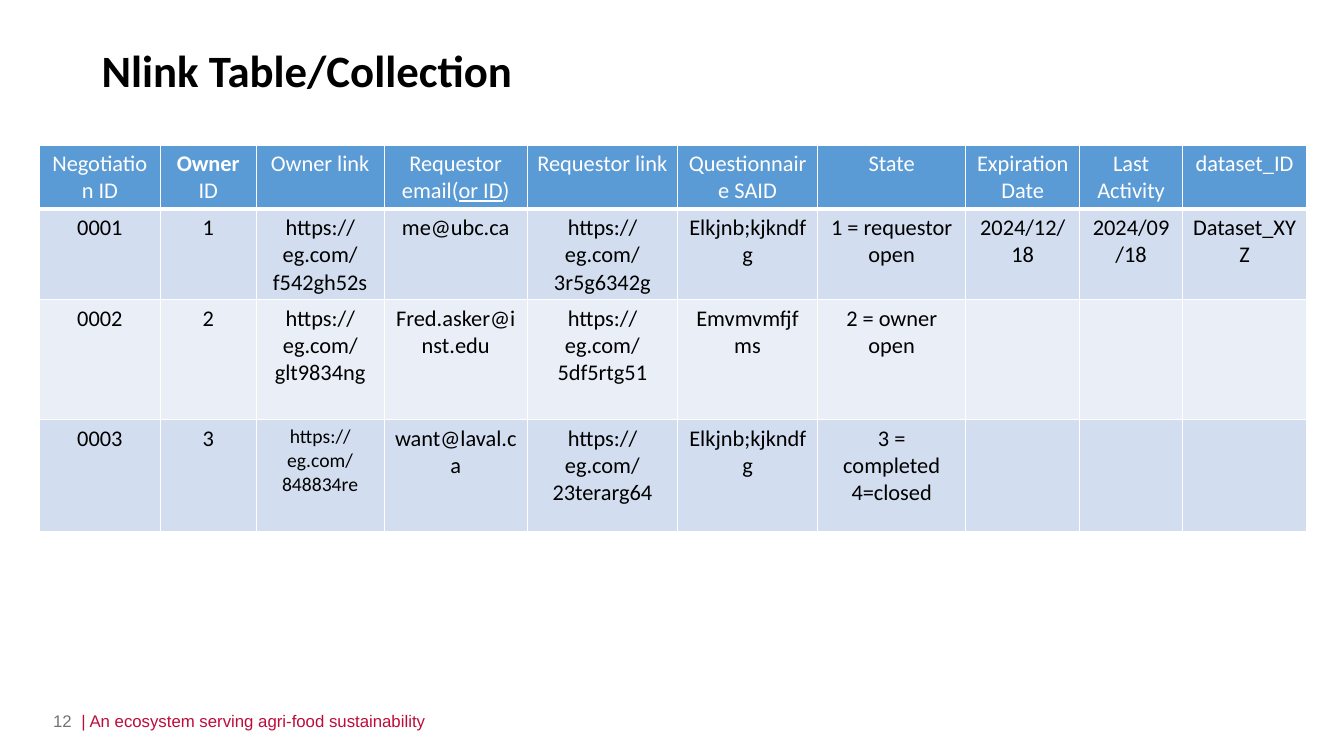
from lxml.etree import SubElement
from pptx import Presentation
from pptx.dml.color import RGBColor as RGB
from pptx.enum.text import MSO_ANCHOR as Anchor, MSO_AUTO_SIZE as AutoSize, PP_ALIGN as Align
from pptx.oxml.ns import qn
from pptx.util import Inches, Pt

TITLE = "Nlink Table/Collection"
TAGLINE = "| An ecosystem serving agri-food sustainability"
PAGE_NUMBER = "12"

HEADER = [
    [("Negotiation ID", "")],
    [("Owner", "bold"), (" ID", "")],
    [("Owner link", "")],
    [("Requestor email(", ""), ("or ID", "underline"), (")", "")],
    [("Requestor link", "")],
    [("Questionnaire SAID", "")],
    [("State", "")],
    [("Expiration Date", "")],
    [("Last Activity", "")],
    [("dataset_ID", "")],
]
RECORDS = [
    ["0001", "1", "https://eg.com/f542gh52s", "me@ubc.ca", "https://eg.com/3r5g6342g",
     "Elkjnb;kjkndfg", "1 = requestor open", "2024/12/18", "2024/09/18", "Dataset_XYZ"],
    ["0002", "2", "https://eg.com/glt9834ng", "Fred.asker@inst.edu", "https://eg.com/5df5rtg51",
     "Emvmvmfjfms", "2 = owner open", "", "", ""],
    ["0003", "3", "https://eg.com/848834re", "want@laval.ca", "https://eg.com/23terarg64",
     "Elkjnb;kjkndfg", "3 = completed\n4=closed", "", "", ""],
]
SMALL_LINK = (3, 2)
COLUMN_WIDTHS = [1.2, 0.95, 1.27, 1.42, 1.49, 1.39, 1.47, 1.13, 1.02, 1.23]
ROW_HEIGHTS = [0.6, 0.86, 1.19, 1.11]
TABLE_LEFT, TABLE_TOP = 0.39, 1.44

THEME = {
    "body_font": "Calibri", "footer_font": "Arial",
    "title_size": 32, "cell_size": 16, "small_size": 14, "footer_size": 12,
    "text": "000000", "header_text": "FFFFFF", "border": "FFFFFF",
    "header_fill": "5B9BD5", "bands": ["D2DEEF", "EAEFF7"],
    "tagline": "BD0B3A", "page_number": "767171",
}


def style(run, face, size, color, bold=False):
    run.font.name = face
    run.font.size = Pt(size)
    run.font.color.rgb = RGB.from_string(color)
    run.font.bold = bold


def add_label(slide, text, place, face, size, color, bold=False,
              align=Align.LEFT, anchor=Anchor.MIDDLE, wrap=True):
    frame = slide.shapes.add_textbox(*map(Inches, place)).text_frame
    frame.word_wrap = wrap
    frame.vertical_anchor = anchor
    frame.auto_size = AutoSize.NONE if wrap else AutoSize.SHAPE_TO_FIT_TEXT
    frame.text = text
    frame.paragraphs[0].alignment = align
    style(frame.paragraphs[0].runs[0], face, size, color, bold)


def paint_cell(cell, fill, bottom_width):
    properties = cell._tc.get_or_add_tcPr()
    for side, width in (("L", 1), ("R", 1), ("T", 1), ("B", bottom_width)):
        line = SubElement(properties, qn(f"a:ln{side}"), w=str(Pt(width)))
        SubElement(SubElement(line, qn("a:solidFill")), qn("a:srgbClr"), val=THEME["border"])
    cell.fill.solid()
    cell.fill.fore_color.rgb = RGB.from_string(fill)


def fill_header(cell, parts):
    paint_cell(cell, THEME["header_fill"], 3)
    paragraph = cell.text_frame.paragraphs[0]
    paragraph.alignment = Align.CENTER
    for text, emphasis in parts:
        run = paragraph.add_run()
        run.text = text
        style(run, THEME["body_font"], THEME["cell_size"], THEME["header_text"], emphasis == "bold")
        run.font.underline = emphasis == "underline"


def fill_record(cell, text, band, size):
    paint_cell(cell, band, 1)
    cell.text_frame.text = text
    for paragraph in cell.text_frame.paragraphs:
        paragraph.alignment = Align.CENTER
        for run in paragraph.runs:
            style(run, THEME["body_font"], size, THEME["text"])


def add_links_table(slide):
    table = slide.shapes.add_table(
        len(ROW_HEIGHTS), len(COLUMN_WIDTHS), Inches(TABLE_LEFT), Inches(TABLE_TOP),
        Inches(sum(COLUMN_WIDTHS)), Inches(sum(ROW_HEIGHTS))).table
    for column, width in zip(table.columns, COLUMN_WIDTHS):
        column.width = Inches(width)
    for row, height in zip(table.rows, ROW_HEIGHTS):
        row.height = Inches(height)
    for c, parts in enumerate(HEADER):
        fill_header(table.cell(0, c), parts)
    for r, record in enumerate(RECORDS, start=1):
        band = THEME["bands"][(r - 1) % 2]
        for c, text in enumerate(record):
            size = THEME["small_size" if (r, c) == SMALL_LINK else "cell_size"]
            fill_record(table.cell(r, c), text, band, size)


def main():
    deck = Presentation()
    deck.slide_width, deck.slide_height = Inches(13.33), Inches(7.5)
    slide = deck.slides.add_slide(deck.slide_layouts[6])
    add_label(slide, TAGLINE, (0.71, 6.95, 4.5, 0.4), THEME["footer_font"],
              THEME["footer_size"], THEME["tagline"])
    add_label(slide, PAGE_NUMBER, (0.36, 6.95, 0.45, 0.4), THEME["footer_font"],
              THEME["footer_size"], THEME["page_number"], align=Align.RIGHT)
    add_label(slide, TITLE, (0.91, 0.37, 4.48, 0.64), THEME["body_font"],
              THEME["title_size"], THEME["text"], bold=True, anchor=Anchor.TOP, wrap=False)
    add_links_table(slide)
    deck.save("out.pptx")


if __name__ == "__main__":
    main()
